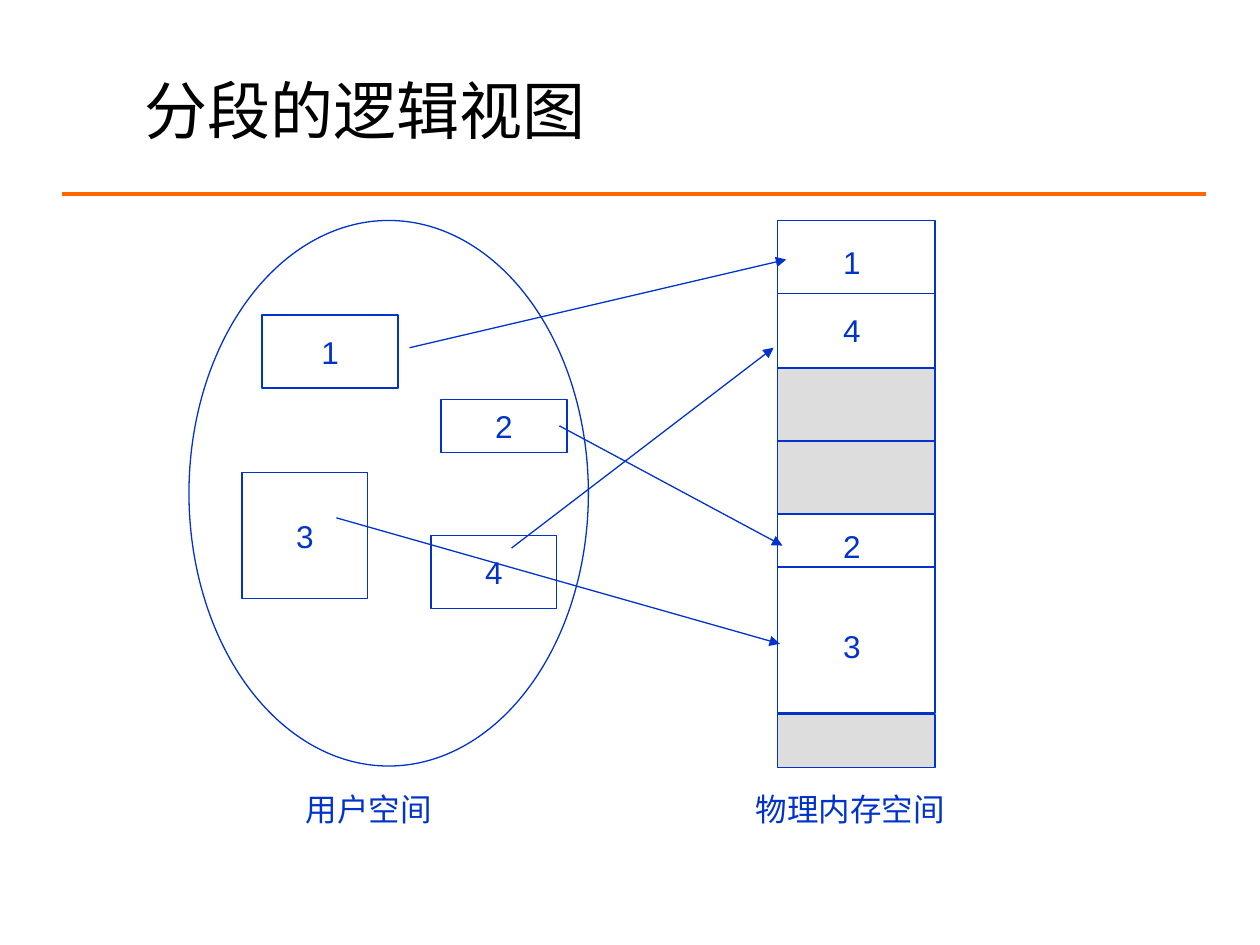
from lxml import etree
from pptx import Presentation
from pptx.dml.color import RGBColor
from pptx.enum.shapes import MSO_CONNECTOR, MSO_SHAPE
from pptx.enum.text import MSO_ANCHOR, PP_ALIGN
from pptx.oxml.ns import qn
from pptx.util import Inches, Pt

STRAIGHT = MSO_CONNECTOR.STRAIGHT
OVAL, RECTANGLE = MSO_SHAPE.OVAL, MSO_SHAPE.RECTANGLE
TOP, MIDDLE = MSO_ANCHOR.TOP, MSO_ANCHOR.MIDDLE
LEFT, CENTER = PP_ALIGN.LEFT, PP_ALIGN.CENTER

BLACK = RGBColor(0x00, 0x00, 0x00)
WHITE = RGBColor(0xFF, 0xFF, 0xFF)
BLUE = RGBColor(0x00, 0x33, 0xCC)
ORANGE = RGBColor(0xFF, 0x66, 0x00)
GRAY = RGBColor(0xDD, 0xDD, 0xDD)

MEMORY_LEFT, MEMORY_WIDTH = 6.17, 1.25

# label, left, top, width, height
SEGMENTS = [
    ("1", 2.08, 2.5, 1.08, 0.58),
    ("3", 1.92, 3.75, 1, 1),
    ("2", 3.5, 3.17, 1, 0.42),
    ("4", 3.42, 4.25, 1, 0.58),
]
# top, height, fill
MEMORY_BLOCKS = [
    (1.75, 1.17, WHITE),
    (2.92, 1.17, GRAY),
    (4.08, 1.58, WHITE),
    (5.67, 0.42, GRAY),
]
MEMORY_DIVIDERS = [2.33, 3.5, 4.5]
# label, top
MEMORY_LABELS = [("1", 1.88), ("4", 2.42), ("2", 4.13), ("3", 4.93)]
# start x, start y, end x, end y
MAPPINGS = [
    (3.25, 2.76, 6.24, 2.06),
    (4.44, 3.38, 6.21, 4.33),
    (2.67, 4.11, 6.19, 5.11),
    (4.06, 4.35, 6.14, 2.76),
]


def write_text(shape, text, size=18, color=BLUE, align=CENTER, anchor=MIDDLE):
    frame = shape.text_frame
    frame.word_wrap = False
    frame.vertical_anchor = anchor
    para = frame.paragraphs[0]
    para.text = text
    para.alignment = align
    para.font.name = "Arial"
    para.font.size = Pt(size)
    para.font.color.rgb = color


def add_label(shapes, text, left, top, width, height=0.4, **style):
    box = shapes.add_textbox(Inches(left), Inches(top), Inches(width), Inches(height))
    write_text(box, text, **style)


def add_outlined(shapes, kind, left, top, width, height, fill=WHITE):
    shape = shapes.add_shape(kind, Inches(left), Inches(top), Inches(width), Inches(height))
    shape.shadow.inherit = False
    shape.fill.solid()
    shape.fill.fore_color.rgb = fill
    shape.line.color.rgb = BLUE
    shape.line.width = Pt(0.75)
    return shape


def add_line(shapes, x1, y1, x2, y2, color=BLUE, width=0.75, arrow=False):
    line = shapes.add_connector(STRAIGHT, Inches(x1), Inches(y1), Inches(x2), Inches(y2))
    line.line.color.rgb = color
    line.line.width = Pt(width)
    if arrow:
        etree.SubElement(line.line._get_or_add_ln(), qn("a:tailEnd"), type="triangle")
    etree.SubElement(line._element.spPr, qn("a:effectLst"))


def add_user_space(shapes):
    add_outlined(shapes, OVAL, 1.5, 1.75, 3.17, 4.33)
    for label, *bounds in SEGMENTS:
        write_text(add_outlined(shapes, RECTANGLE, *bounds), label)


def add_physical_memory(shapes):
    memory = shapes.add_group_shape().shapes
    for top, height, fill in MEMORY_BLOCKS:
        add_outlined(memory, RECTANGLE, MEMORY_LEFT, top, MEMORY_WIDTH, height, fill)
    for y in MEMORY_DIVIDERS:
        add_line(memory, MEMORY_LEFT, y, MEMORY_LEFT + MEMORY_WIDTH, y)
    for label, top in MEMORY_LABELS:
        add_label(memory, label, 6.59, top, 0.34)


def main():
    deck = Presentation()
    deck.slide_width, deck.slide_height = Inches(10), Inches(7.5)
    shapes = deck.slides.add_slide(deck.slide_layouts[6]).shapes

    add_line(shapes, 0.49, 1.54, 9.57, 1.54, color=ORANGE, width=2.25)
    add_label(shapes, "分段的逻辑视图", 1.05, 0.52, 7.39, 0.27,
              size=36, color=BLACK, align=LEFT, anchor=TOP)
    add_user_space(shapes)
    add_physical_memory(shapes)
    add_label(shapes, "用户空间", 2.3, 6.22, 1.25)
    add_label(shapes, "物理内存空间", 5.9, 6.22, 1.7)
    for ends in MAPPINGS:
        add_line(shapes, *ends, arrow=True)

    deck.save("out.pptx")


if __name__ == "__main__":
    main()
